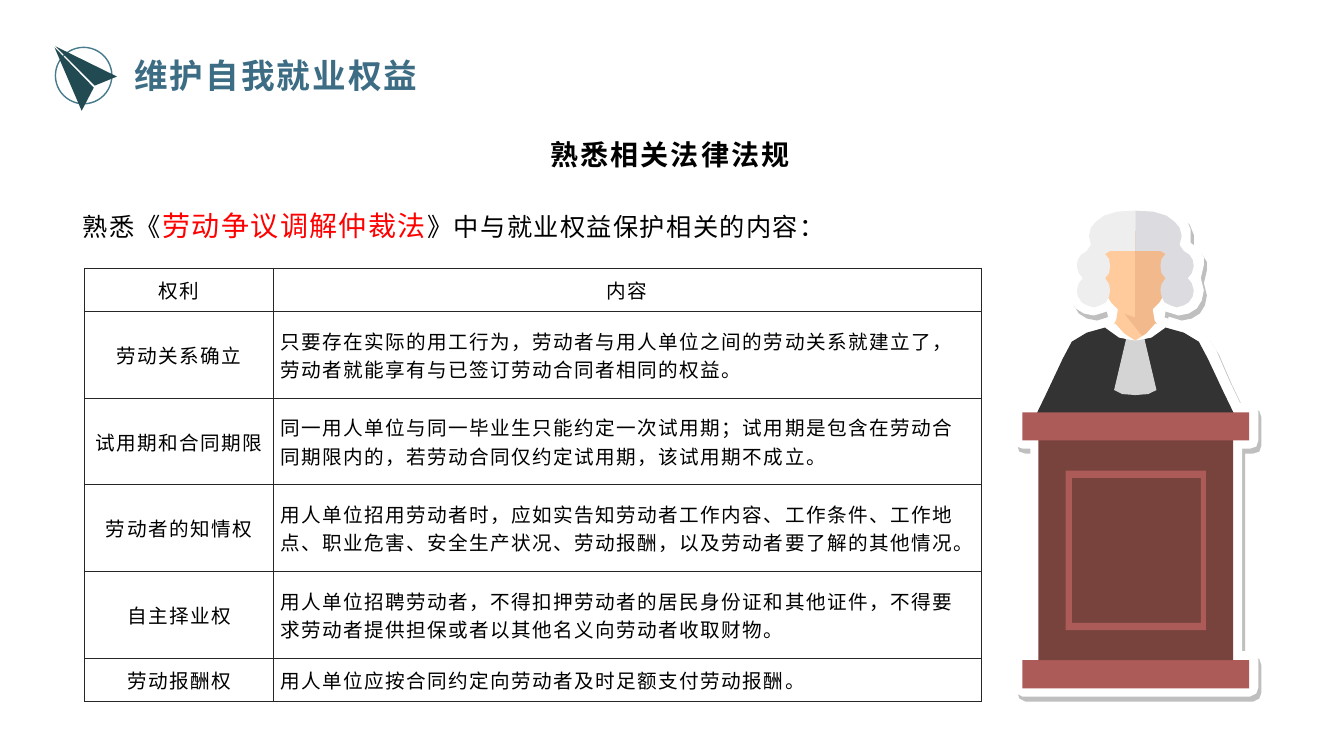
"""Build the slide on protecting employment rights, with a table and a judge."""
import pptx
import pptx.dml.color
import pptx.enum.shapes
import pptx.enum.text
import pptx.oxml
import pptx.oxml.ns
import pptx.util

Inches = pptx.util.Inches
RGBColor = pptx.dml.color.RGBColor
Shapes = pptx.enum.shapes.MSO_SHAPE
Align = pptx.enum.text.PP_ALIGN
Anchor = pptx.enum.text.MSO_ANCHOR

FONT = "Noto Sans CJK SC"
COLORS = {
    "title": "3D6D84", "ring": "467A8C", "arrow": "224A52",
    "black": "000000", "red": "FF0000", "white": "FFFFFF", "border": "262626",
    "shadow": "BFBFBF", "robe": "333333", "skin": "FFCB9C", "skin_shade": "F2BA8C",
    "cravat": "D4D4D4", "wig": "EEEEEE", "wig_shade": "DCDBE0",
    "trim": "AC5B58", "wood": "78433D",
}


def add_run(paragraph, text, size, color="black", bold=False, spacing=1):
    """Add a run with East Asian font and letter spacing in points."""
    run = paragraph.add_run()
    run.text = text
    values = {"name": FONT, "size": pptx.util.Pt(size), "bold": bold}
    for name, value in values.items():
        setattr(run.font, name, value)
    run.font.color.rgb = RGBColor.from_string(COLORS[color])
    properties = run.font._element
    properties.set("spc", str(int(spacing * 100)))
    east_asian = pptx.oxml.parse_xml(
        f'<a:ea {pptx.oxml.ns.nsdecls("a")} typeface="{FONT}"/>')
    properties.append(east_asian)


def add_outline(shapes, color, *loops):
    """Add one filled freeform made of closed loops of points in inches."""
    loops = [[(Inches(x), Inches(y)) for x, y in loop] for loop in loops]
    builder = shapes.build_freeform(*loops[0][0], scale=1.0)
    builder.add_line_segments(loops[0][1:], close=True)
    for loop in loops[1:]:
        builder.move_to(*loop[0])
        builder.add_line_segments(loop[1:], close=True)
    shape = builder.convert_to_shape()
    shape.shadow.inherit = False
    shape.fill.solid()
    shape.fill.fore_color.rgb = RGBColor.from_string(COLORS[color])
    shape.line.fill.background()


presentation = pptx.Presentation()
presentation.slide_width = Inches(13.33)
presentation.slide_height = Inches(7.5)
slide = presentation.slides.add_slide(presentation.slide_layouts[5])

title = slide.shapes.title
heading = slide.shapes.add_textbox(Inches(0.73), Inches(0.98), Inches(11.83), Inches(0.77))
intro = slide.shapes.add_textbox(Inches(0.72), Inches(1.52), Inches(8.36), Inches(0.94))
placement = {"left": 1.23, "top": 0.49, "width": 6.67, "height": 0.5}
for name, value in placement.items():
    setattr(title, name, Inches(value))

text_boxes = [
    (title, Anchor.MIDDLE, Align.LEFT, 1.0,
     [("维护自我就业权益", 24, "title", True, 1.5)]),
    (heading, Anchor.TOP, Align.CENTER, 2.0,
     [("熟悉相关法律法规", 20, "black", True, 1.5)]),
    (intro, Anchor.TOP, Align.LEFT, 2.5,
     [("熟悉《", 18), ("劳动争议调解仲裁法", 20, "red"),
      ("》中与就业权益保护相关的内容：", 18)]),
]
for shape, anchor, alignment, line_spacing, runs in text_boxes:
    frame_format = {
        "word_wrap": True, "vertical_anchor": anchor,
        "auto_size": pptx.enum.text.MSO_AUTO_SIZE.SHAPE_TO_FIT_TEXT,
    }
    for name, value in frame_format.items():
        setattr(shape.text_frame, name, value)
    paragraph = shape.text_frame.paragraphs[0]
    paragraph.alignment = alignment
    paragraph.line_spacing = line_spacing
    for run_values in runs:
        add_run(paragraph, *run_values)

icon = slide.shapes.add_group_shape().shapes
ring = icon.add_shape(Shapes.OVAL, Inches(0.55), Inches(0.47), Inches(0.56), Inches(0.56))
ring.shadow.inherit = False
ring.fill.background()
ring.line.color.rgb = RGBColor.from_string(COLORS["ring"])
ring.line.width = pptx.util.Pt(1)
add_outline(icon, "arrow",
            [(1.16, 0.76), (0.94, 0.85), (0.55, 0.46)],
            [(0.93, 0.87), (0.81, 1.1), (0.54, 0.47)])

backing_half = [
    (11.27, 2), (11.05, 2.02), (10.89, 2.07), (10.77, 2.18), (10.73, 2.28), (10.73, 2.41),
    (10.65, 2.47), (10.6, 2.55), (10.6, 2.63), (10.63, 2.76), (10.6, 2.88), (10.62, 2.98),
    (10.67, 3.06), (10.75, 3.11), (10.85, 3.13), (10.98, 3.09), (10.99, 3.15),
    (10.75, 3.23), (10.57, 3.33), (10.48, 3.47), (10.35, 3.77), (10.24, 4), (10.14, 4),
    (10.08, 4.03), (10.06, 4.09), (10.06, 4.37), (10.08, 4.43), (10.14, 4.45),
    (10.22, 4.45), (10.22, 6.46), (10.14, 6.46), (10.08, 6.49), (10.06, 6.55),
    (10.06, 6.82), (10.08, 6.88), (10.14, 6.91), (11.27, 6.91)]
robe_half = [
    (11.26, 3.38), (11.14, 3.34), (11.03, 3.24), (10.96, 3.25), (10.78, 3.3),
    (10.63, 3.39), (10.54, 3.56), (10.38, 3.9), (10.22, 4.23), (11.26, 4.27)]
neck_half = [
    (11.26, 3.13), (11.17, 3.11), (11.09, 3.06), (11.07, 3.18), (11.03, 3.24),
    (11.1, 3.33), (11.2, 3.38), (11.26, 3.38)]
neck_shade = [
    (11.14, 3.1), (11.26, 3.13), (11.35, 3.11), (11.43, 3.06), (11.45, 3.18),
    (11.49, 3.24), (11.43, 3.32), (11.35, 3.36)]
face_half = [
    (11.26, 2.29), (10.9, 2.3), (10.9, 2.53), (10.91, 2.7), (10.95, 2.88),
    (11.02, 3), (11.12, 3.1), (11.26, 3.15)]
cravat_half = [(11.26, 3.38), (11.17, 3.36), (11.05, 3.87), (11.13, 3.91), (11.26, 3.92)]
collar_half = [(11.26, 3.38), (11.15, 3.31), (11.06, 3.21), (10.96, 3.25), (11.1, 3.35)]
wig_half = [
    (11.26, 2.49), (11.26, 2.09), (11.08, 2.1), (10.95, 2.14), (10.87, 2.2), (10.82, 2.26),
    (10.8, 2.34), (10.82, 2.43), (10.78, 2.49), (10.72, 2.53), (10.69, 2.58), (10.68, 2.64),
    (10.7, 2.71), (10.74, 2.76), (10.7, 2.81), (10.68, 2.88), (10.69, 2.94), (10.73, 3),
    (10.78, 3.03), (10.85, 3.05), (10.91, 3.03), (10.97, 3), (11, 2.94), (11.01, 2.88),
    (11, 2.82), (10.96, 2.76), (11, 2.71), (11.01, 2.64), (11, 2.57), (10.96, 2.52),
    (11.01, 2.49)]
shadow_half = [(x + 0.03, y + 0.05) for x, y in backing_half]

judge = slide.shapes.add_group_shape().shapes
judge_parts = [
    (shadow_half, "shadow", None), (backing_half, "white", None),
    (robe_half, "robe", None), (neck_half, "skin", None),
    (face_half, "skin", "skin_shade"), (cravat_half, "cravat", None),
    (collar_half, "white", "white"), (wig_half, "wig", "wig_shade"),
]
for half, color, right_color in judge_parts:
    axis = half[0][0]
    mirrored = [(2 * axis - x, y) for x, y in reversed(half)]
    if right_color:
        add_outline(judge, color, half)
        add_outline(judge, right_color, mirrored)
    else:
        add_outline(judge, color, half + mirrored)
    if half is neck_half:
        add_outline(judge, "skin_shade", neck_shade)

podium_parts = [
    ("trim", 10.14, 6.55, 2.25, 0.28), ("wood", 10.3, 4.34, 1.93, 2.21),
    ("trim", 10.14, 4.09, 2.25, 0.28),
]
for color, left, top, width, height in podium_parts:
    block = judge.add_shape(Shapes.RECTANGLE, Inches(left), Inches(top),
                            Inches(width), Inches(height))
    block.shadow.inherit = False
    block.fill.solid()
    block.fill.fore_color.rgb = RGBColor.from_string(COLORS[color])
    block.line.fill.background()
add_outline(judge, "trim",
            [(11.96, 6.25), (10.57, 6.25), (10.57, 4.67), (11.96, 4.67)],
            [(10.63, 6.18), (11.91, 6.18), (11.91, 4.74), (10.63, 4.74)])

rights = [
    ("权利", "内容"),
    ("劳动关系确立", "只要存在实际的用工行为，劳动者与用人单位之间的劳动关系就建立了，劳动者就能享有与已签订劳动合同者相同的权益。"),
    ("试用期和合同期限", "同一用人单位与同一毕业生只能约定一次试用期；试用期是包含在劳动合同期限内的，若劳动合同仅约定试用期，该试用期不成立。"),
    ("劳动者的知情权", "用人单位招用劳动者时，应如实告知劳动者工作内容、工作条件、工作地点、职业危害、安全生产状况、劳动报酬，以及劳动者要了解的其他情况。"),
    ("自主择业权", "用人单位招聘劳动者，不得扣押劳动者的居民身份证和其他证件，不得要求劳动者提供担保或者以其他名义向劳动者收取财物。"),
    ("劳动报酬权", "用人单位应按合同约定向劳动者及时足额支付劳动报酬。"),
]
table = slide.shapes.add_table(len(rights), 2, Inches(0.84), Inches(2.66),
                               Inches(8.89), Inches(4.31)).table
for column, width in zip(table.columns, (1.87, 7.02)):
    column.width = Inches(width)
cell_format = {
    "vertical_anchor": Anchor.MIDDLE, "margin_left": Inches(0.07),
    "margin_right": Inches(0.07), "margin_top": 0, "margin_bottom": 0,
}
for row_index, texts in enumerate(rights):
    table.rows[row_index].height = Inches(0.43 if row_index in (0, 5) else 0.86)
    for column_index, text in enumerate(texts):
        cell = table.cell(row_index, column_index)
        for name, value in cell_format.items():
            setattr(cell, name, value)
        cell.fill.solid()
        cell.fill.fore_color.rgb = RGBColor.from_string(COLORS["white"])
        for position, side in enumerate("LRTB"):
            border = pptx.oxml.parse_xml(
                f'<a:ln{side} {pptx.oxml.ns.nsdecls("a")} w="6350"><a:solidFill>'
                f'<a:srgbClr val="{COLORS["border"]}"/></a:solidFill></a:ln{side}>')
            cell._tc.tcPr.insert(position, border)
        paragraph = cell.text_frame.paragraphs[0]
        centred = row_index == 0 or column_index == 0
        paragraph.alignment = Align.CENTER if centred else Align.LEFT
        add_run(paragraph, text, 14)

presentation.save("out.pptx")
